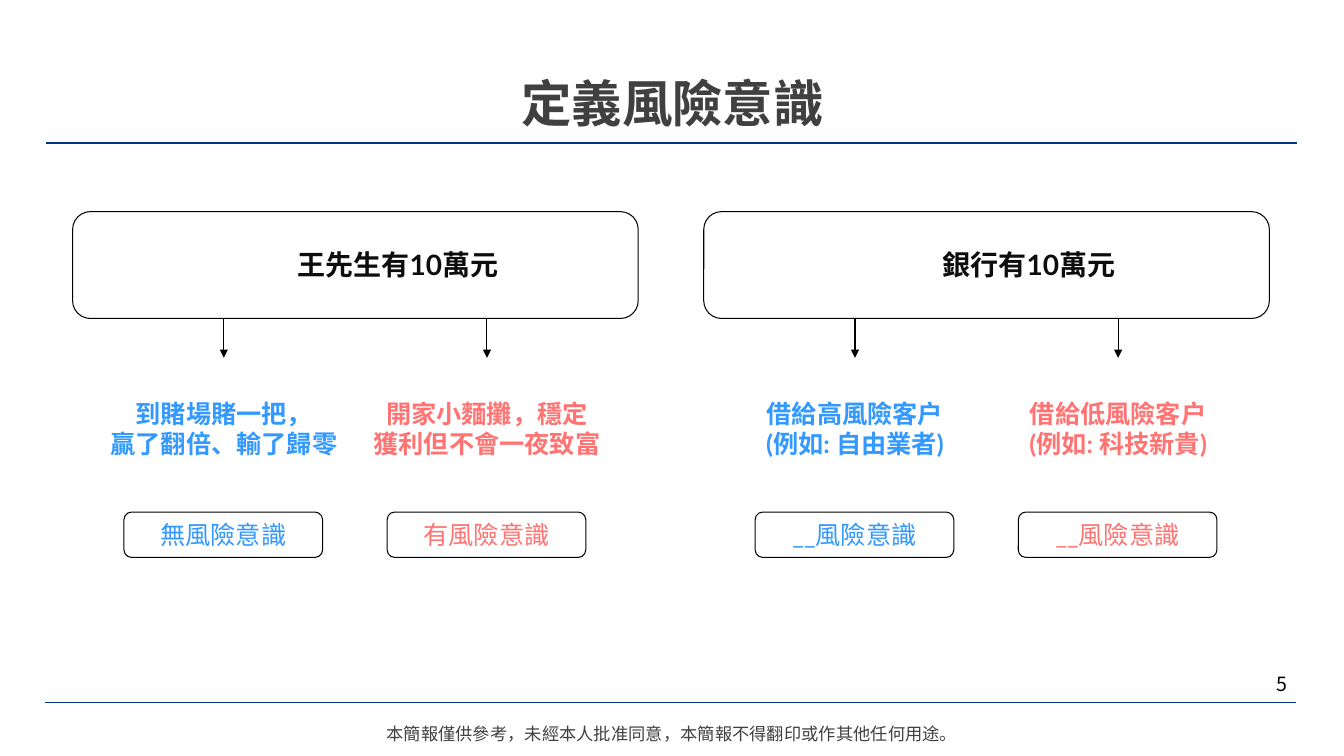
import pptx
import pptx.util
import pptx.dml.color
import pptx.enum.shapes
import pptx.enum.text
import pptx.oxml.ns
from lxml import etree

Inches, Pt = pptx.util.Inches, pptx.util.Pt
ALIGN = pptx.enum.text.PP_ALIGN
ANCHOR = pptx.enum.text.MSO_ANCHOR
qn = pptx.oxml.ns.qn

TITLE = "定義風險意識"
FOOTER = "本簡報僅供參考，未經本人批准同意，本簡報不得翻印或作其他任何用途。"
PAGE = "5"
BLUE, RED, NAVY, GREY, BLACK = "3399FF", "FF7472", "003686", "404040", "000000"
CJK = "Noto Sans CJK TC"

CASES = [
    ("王先生有10萬元", [
        (["到賭場賭一把，\v贏了翻倍、輸了歸零"], "無風險意識", BLUE),
        (["開家小麵攤，穩定", "獲利但不會一夜致富"], "有風險意識", RED),
    ]),
    ("銀行有10萬元", [
        (["借給高風險客戶", "(例如: 自由業者)"], "__風險意識", BLUE),
        (["借給低風險客戶", "(例如: 科技新貴)"], "__風險意識", RED),
    ]),
]
CASE_LEFT, CASE_STEP, CHOICE_STEP = 0.72, 6.26, 2.61


def color(value):
    return pptx.dml.color.RGBColor.from_string(value)


def write(tf, lines, size, ink, font="Lato", bold=False, align=ALIGN.CENTER,
          anchor=ANCHOR.TOP, spacing=None):
    tf.word_wrap = True
    tf.vertical_anchor = anchor
    for i, line in enumerate(lines):
        p = tf.paragraphs[0] if i == 0 else tf.add_paragraph()
        p.text = line
        p.alignment = align
        if spacing:
            p.line_spacing = spacing
        p.font.size = Pt(size)
        p.font.bold = bold
        p.font.color.rgb = color(ink)
        p.font.name = font
        latin = p._p.pPr.find(qn("a:defRPr")).find(qn("a:latin"))
        ea = etree.Element(qn("a:ea"))
        ea.set("typeface", CJK)
        latin.addnext(ea)


def add_text(s, box, lines, size, ink, **style):
    tf = s.shapes.add_textbox(*map(Inches, box)).text_frame
    write(tf, lines, size, ink, **style)
    return tf


def add_line(s, x1, y1, x2, y2, ink, width, arrow=False):
    line = s.shapes.add_connector(pptx.enum.shapes.MSO_CONNECTOR.STRAIGHT,
                                  *map(Inches, (x1, y1, x2, y2)))
    line.line.color.rgb = color(ink)
    line.line.width = Pt(width)
    if arrow:
        ln = line.line._get_or_add_ln()
        etree.SubElement(ln, qn("a:tailEnd")).set("type", "triangle")
    etree.SubElement(line._element.spPr, qn("a:effectLst"))


def add_box(s, *box):
    sp = s.shapes.add_shape(pptx.enum.shapes.MSO_SHAPE.ROUNDED_RECTANGLE,
                            *map(Inches, box))
    sp.shadow.inherit = False
    sp.fill.background()
    sp.line.color.rgb = color(BLACK)
    sp.line.width = Pt(0.75)
    return sp


def main():
    prs = pptx.Presentation()
    prs.slide_width, prs.slide_height = Inches(13.33), Inches(7.5)
    s = prs.slides.add_slide(prs.slide_layouts[5])

    add_line(s, 0.45, 6.97, 12.85, 6.97, NAVY, 1)
    add_line(s, 0.46, 1.42, 12.86, 1.42, NAVY, 1)
    tf = add_text(s, (1.99, 7.13, 9.35, 0.23), [FOOTER], 12.3, GREY,
                  font=CJK, spacing=1.2)
    tf.margin_left = tf.margin_right = tf.margin_top = tf.margin_bottom = 0

    title = s.shapes.title
    title.left, title.top, title.width, title.height = map(
        Inches, (1.13, 0.61, 11.08, 1.25))
    write(title.text_frame, [TITLE], 36, GREY, font=CJK, bold=True, spacing=1.1)
    add_text(s, (9.87, 6.58, 3, 0.4), [PAGE], 14, BLACK, font=CJK,
             align=ALIGN.RIGHT, anchor=ANCHOR.MIDDLE)

    for i, (owner, choices) in enumerate(CASES):
        left = CASE_LEFT + i * CASE_STEP
        add_box(s, left, 2.1, 5.61, 1.06)
        add_text(s, (left + 1.28, 2.41, 3.89, 0.44), [owner], 20, "0D0D0D",
                 bold=True)
        for j, (lines, label, ink) in enumerate(choices):
            x = left + 0.2 + j * CHOICE_STEP
            add_line(s, x + 1.3, 3.15, x + 1.3, 3.55, BLACK, 0.75, arrow=True)
            add_text(s, (x, 3.9, 2.6, 0.71), lines, 18, ink, bold=True)
            sp = add_box(s, x + 0.31, 5.08, 1.97, 0.45)
            write(sp.text_frame, [label], 18, ink)

    prs.save("out.pptx")


if __name__ == "__main__":
    main()
